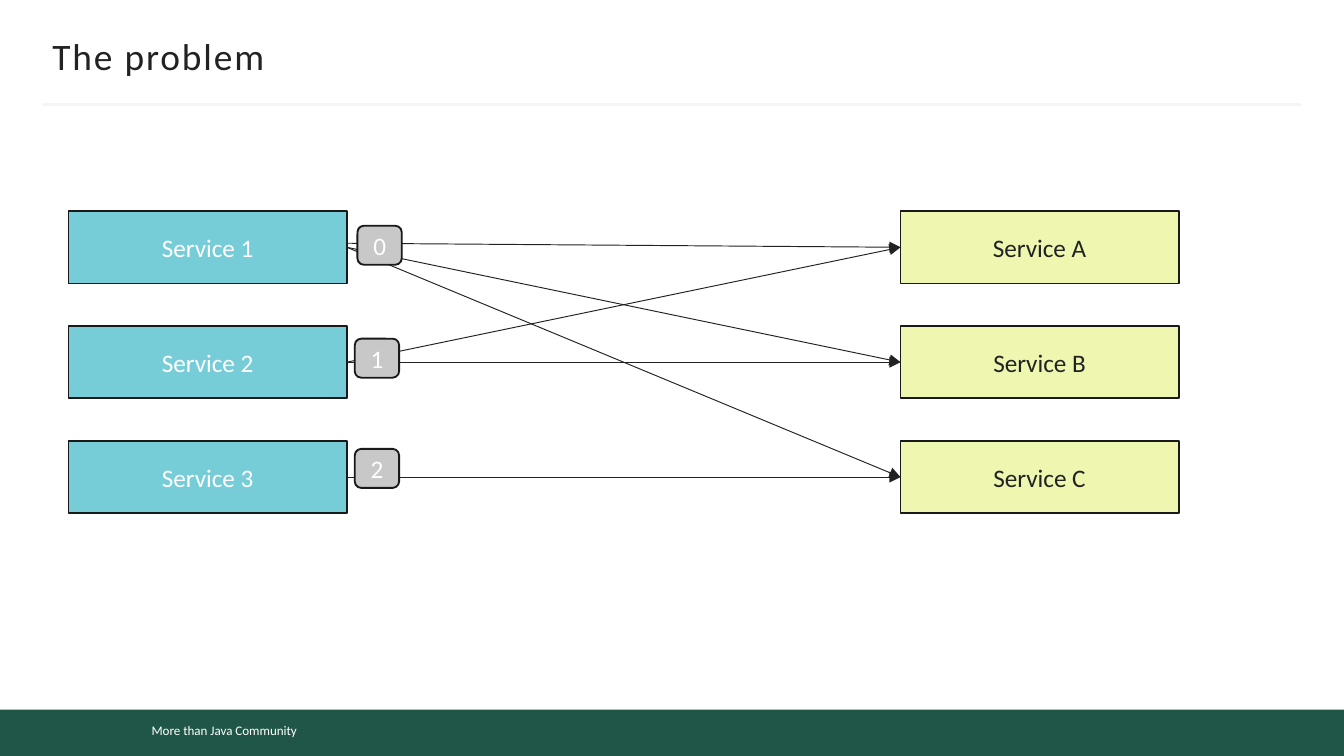
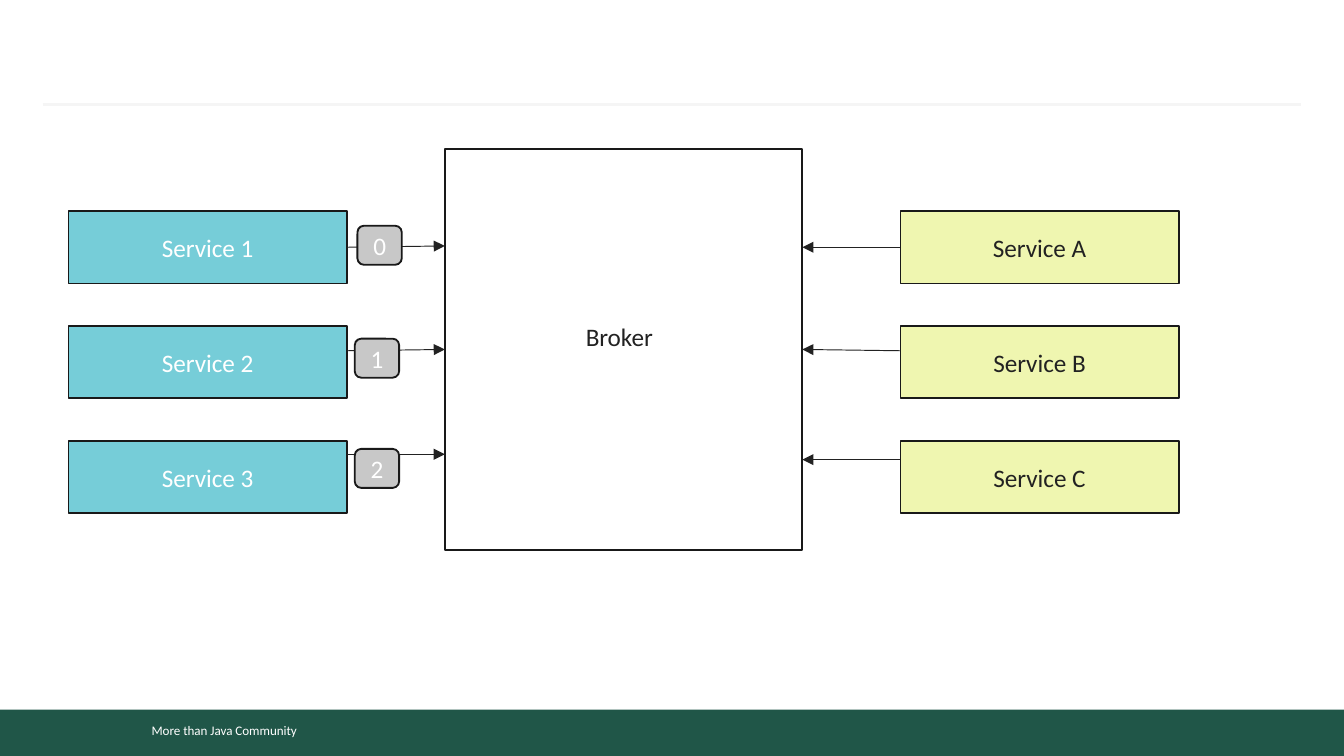
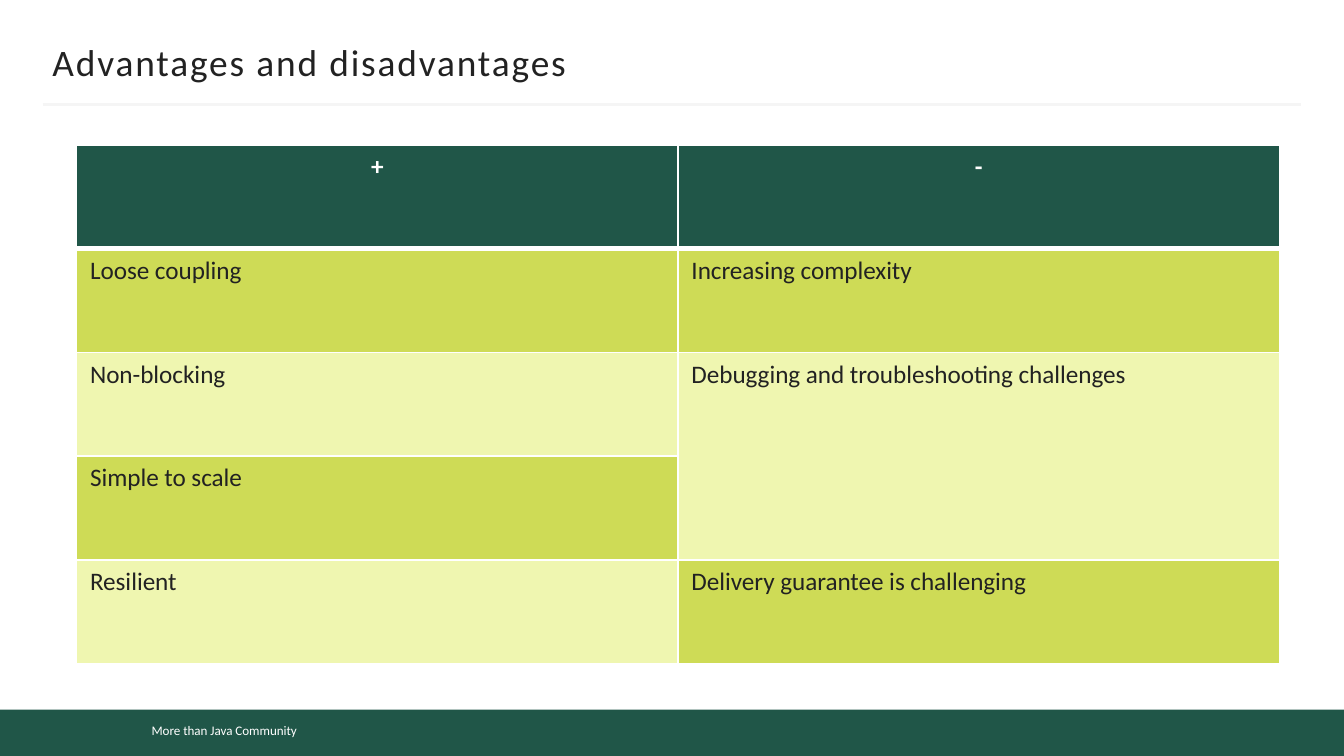
from lxml import etree
from pptx import Presentation
from pptx.dml.color import RGBColor
from pptx.enum.shapes import MSO_CONNECTOR, MSO_SHAPE
from pptx.enum.text import MSO_ANCHOR, PP_ALIGN
from pptx.oxml.ns import qn
from pptx.util import Inches, Pt

STRAIGHT = MSO_CONNECTOR.STRAIGHT
RECTANGLE, ROUNDED = MSO_SHAPE.RECTANGLE, MSO_SHAPE.ROUNDED_RECTANGLE
LEFT, CENTER = PP_ALIGN.LEFT, PP_ALIGN.CENTER
TOP, MIDDLE = MSO_ANCHOR.TOP, MSO_ANCHOR.MIDDLE
LEFT_SIDE, RIGHT_SIDE = 1, 3

# Shared look; the page is 16:9
PAGE_WIDTH = 10
PAGE_HEIGHT = PAGE_WIDTH * 9 / 16
FONT = "Calibri"
BODY_SIZE = 13.5
WHITE = RGBColor(0xFF, 0xFF, 0xFF)
INK = RGBColor(0x22, 0x22, 0x22)
OUTLINE = RGBColor(0x19, 0x19, 0x19)
RULE = RGBColor(0xF5, 0xF5, 0xF5)
GREEN = RGBColor(0x20, 0x56, 0x48)
TEAL = RGBColor(0x76, 0xCD, 0xD8)
LIME = RGBColor(0xCE, 0xDB, 0x56)
PALE_LIME = RGBColor(0xEF, 0xF6, 0xB0)
GREY = RGBColor(0xC8, 0xC8, 0xC8)

# Service columns
SENDER_LEFT, RECEIVER_LEFT = 0.51, 6.7
SERVICE_WIDTH, SERVICE_HEIGHT = 2.07, 0.54
SENDER_RIGHT = SENDER_LEFT + SERVICE_WIDTH
FIRST_TOP, LAST_TOP = 1.57, 3.28
SERVICE_PITCH = (LAST_TOP - FIRST_TOP) / 2
BADGE_PLACES = [(2.66, 1.68), (2.64, 2.52), (2.64, 3.34)]

# Broker
BROKER_LEFT, BROKER_TOP, BROKER_WIDTH, BROKER_HEIGHT = 3.31, 1.11, 2.66, 2.98
BROKER_RIGHT = BROKER_LEFT + BROKER_WIDTH


def write(frame, text, color=INK, size=BODY_SIZE, align=LEFT, anchor=TOP, bold=False):
    frame.text = text
    frame.word_wrap = True
    frame.vertical_anchor = anchor
    para = frame.paragraphs[0]
    para.alignment = align
    span = para.runs[0]
    span.font.name = FONT
    span.font.size = Pt(size)
    span.font.bold = bold
    span.font.color.rgb = color
    return span


def add_box(page, place, fill, outline=None, kind=RECTANGLE):
    box = page.shapes.add_shape(kind, *map(Inches, place))
    box.shadow.inherit = False
    box.fill.solid()
    box.fill.fore_color.rgb = fill
    if outline is None:
        box.line.fill.background()
    else:
        box.line.color.rgb = outline
        box.line.width = Pt(1)
    return box


def add_label_box(page, place, text, fill, color, kind=RECTANGLE):
    box = add_box(page, place, fill, OUTLINE, kind)
    write(box.text_frame, text, color, align=CENTER, anchor=MIDDLE)
    return box


def add_line(page, start, end, color, width):
    line = page.shapes.add_connector(STRAIGHT, *map(Inches, start + end))
    line.line.color.rgb = color
    line.line.width = Pt(width)
    etree.SubElement(line._element.spPr, qn("a:effectLst"))
    return line


def add_arrow(page, start, end):
    arrow = add_line(page, start, end, INK, 0.5)
    etree.SubElement(arrow.line._get_or_add_ln(), qn("a:tailEnd"), type="triangle")
    return arrow


def add_page(deck):
    """Page with the green footer band and the rule under the title."""
    page = deck.slides.add_slide(deck.slide_layouts[6])
    add_box(page, (0, 5.28, PAGE_WIDTH, 0.35), GREEN)
    footer = add_box(page, (1.03, 5.33, 2.65, 0.22), GREEN)
    write(footer.text_frame, "More than Java Community", WHITE, 7)
    add_line(page, (0.32, 0.78), (9.68, 0.78), RULE, 1.5)
    return page


def add_title(page, text, top):
    box = page.shapes.add_textbox(*map(Inches, (0.39, top, 9.22, 0.33)))
    frame = box.text_frame
    frame.margin_left = frame.margin_right = 0
    span = write(frame, text, size=20, anchor=MIDDLE)
    span.font._element.set("spc", "100")


def add_services(page, left, names, fill, color):
    return [
        add_label_box(
            page,
            (left, FIRST_TOP + row * SERVICE_PITCH, SERVICE_WIDTH, SERVICE_HEIGHT),
            f"Service {name}", fill, color)
        for row, name in enumerate(names)
    ]


def add_both_columns(page):
    return (add_services(page, SENDER_LEFT, "123", TEAL, WHITE),
            add_services(page, RECEIVER_LEFT, "ABC", PALE_LIME, INK))


def add_badges(page):
    for number, (left, top) in enumerate(BADGE_PLACES):
        add_label_box(page, (left, top, 0.33, 0.29), str(number), GREY, WHITE, ROUNDED)


def set_borders(cell, top, bottom):
    properties = cell._tc.get_or_add_tcPr()
    widths = {"a:lnL": 1, "a:lnR": 1, "a:lnT": top, "a:lnB": bottom}
    for position, (tag, width) in enumerate(widths.items()):
        border = etree.Element(qn(tag), w=str(Pt(width)))
        fill = etree.SubElement(border, qn("a:solidFill"))
        etree.SubElement(fill, qn("a:srgbClr"), val=str(WHITE))
        properties.insert(position, border)


def add_comparison(page, place, rows):
    """Table with a heading row; each cell is a text and its fill."""
    table = page.shapes.add_table(len(rows), 2, *map(Inches, place)).table
    for row, cells in enumerate(rows):
        heading = row == 0
        for column, (text, fill) in enumerate(cells):
            cell = table.cell(row, column)
            cell.fill.solid()
            cell.fill.fore_color.rgb = fill
            set_borders(cell, 3 if row == 1 else 1, 3 if heading else 1)
            if text:
                write(cell.text_frame, text, WHITE if heading else INK,
                      align=CENTER if heading else LEFT, bold=heading)
    return table


def build_problem(deck):
    page = add_page(deck)
    add_title(page, "The problem", 0.25)
    senders, receivers = add_both_columns(page)
    # The first arrow leaves slightly above the middle of Service 1
    direct = add_arrow(page, (SENDER_RIGHT, 1.81), (RECEIVER_LEFT, 1.84))
    direct.end_connect(receivers[0], LEFT_SIDE)
    for source, target in [(1, 1), (2, 2), (0, 1), (0, 2), (1, 0)]:
        arrow = add_arrow(page, (SENDER_RIGHT, 1.84), (RECEIVER_LEFT, 1.84))
        arrow.begin_connect(senders[source], RIGHT_SIDE)
        arrow.end_connect(receivers[target], LEFT_SIDE)
    add_badges(page)


def build_broker(deck):
    page = add_page(deck)
    add_box(page, (BROKER_LEFT, BROKER_TOP, BROKER_WIDTH, BROKER_HEIGHT), WHITE, OUTLINE)
    label = page.shapes.add_textbox(*map(Inches, (4.26, 2.34, 1.11, 0.33)))
    write(label.text_frame, "Broker")
    senders, receivers = add_both_columns(page)
    # Heights where the arrows leave the services and reach the broker
    outgoing = [add_arrow(page, (SENDER_RIGHT, start), (BROKER_LEFT, end))
                for start, end in [(1.84, 1.83), (2.61, 2.6), (3.38, 3.38)]]
    incoming = [add_arrow(page, (RECEIVER_LEFT, start), (BROKER_RIGHT, end))
                for start, end in [(1.84, 1.84), (2.61, 2.6), (3.42, 3.42)]]
    outgoing[0].begin_connect(senders[0], RIGHT_SIDE)
    incoming[0].begin_connect(receivers[0], LEFT_SIDE)
    add_badges(page)


def build_comparison(deck):
    page = add_page(deck)
    add_title(page, "Advantages and disadvantages", 0.29)
    table = add_comparison(page, (0.57, 1.08, 8.95, 3.86), [
        [("+", GREEN), ("-", GREEN)],
        [("Loose coupling", LIME), ("Increasing complexity", LIME)],
        [("Non-blocking", PALE_LIME),
         ("Debugging and troubleshooting challenges", PALE_LIME)],
        [("Simple to scale", LIME), ("", PALE_LIME)],
        [("Resilient", PALE_LIME), ("Delivery guarantee is challenging", LIME)],
    ])
    table.cell(2, 1).merge(table.cell(3, 1))


def main():
    deck = Presentation()
    deck.slide_width, deck.slide_height = Inches(PAGE_WIDTH), Inches(PAGE_HEIGHT)
    build_problem(deck)
    build_broker(deck)
    build_comparison(deck)
    deck.save("out.pptx")


if __name__ == "__main__":
    main()
